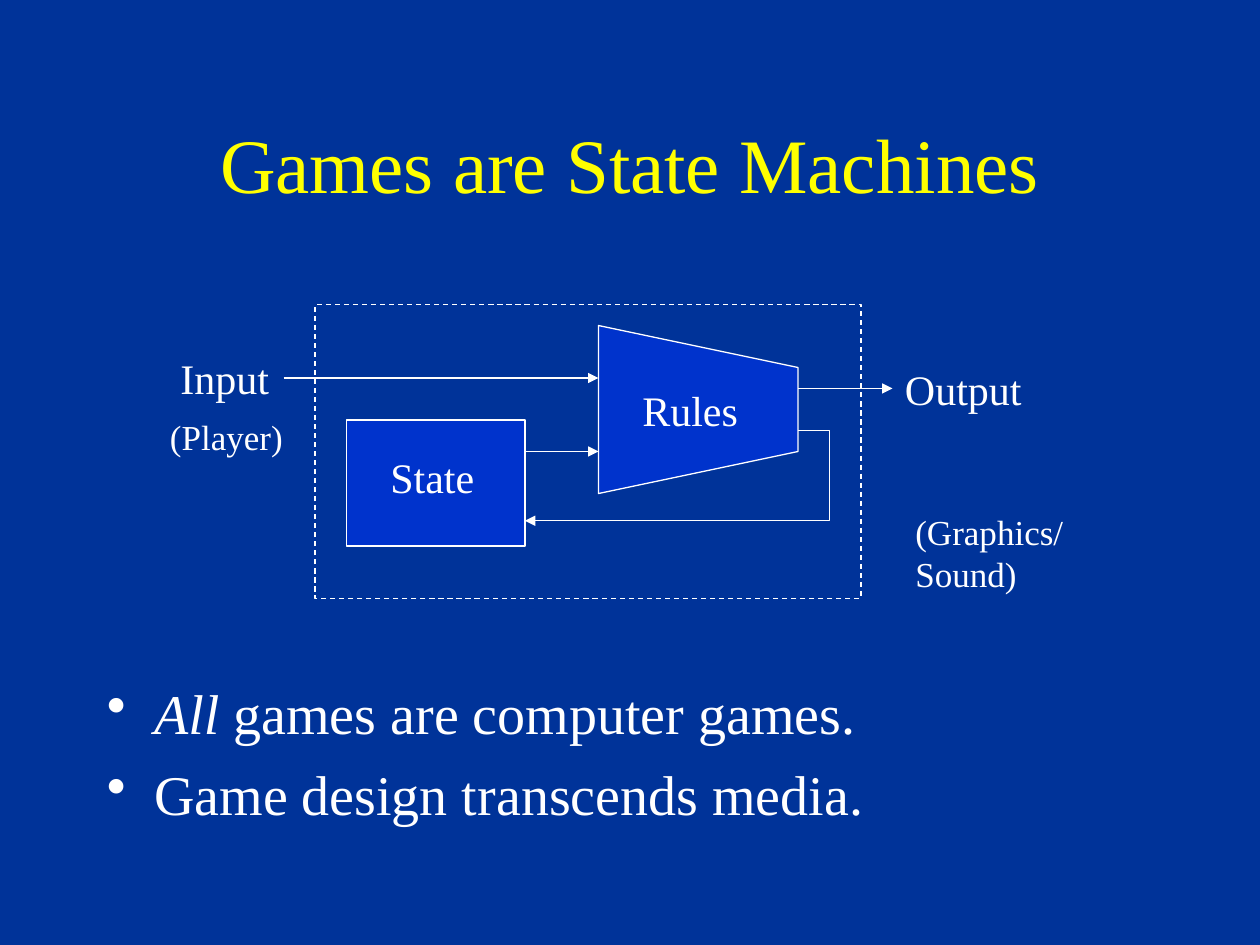
"""Build the slide that explains games as state machines."""
from lxml.etree import SubElement
from pptx import Presentation
from pptx.dml.color import RGBColor
from pptx.enum.dml import MSO_LINE
from pptx.enum.shapes import MSO_CONNECTOR, MSO_SHAPE
from pptx.enum.text import MSO_ANCHOR, PP_ALIGN
from pptx.oxml.ns import qn
from pptx.util import Pt

PX = 7620
NAVY = RGBColor(0x00, 0x33, 0x99)
BLUE = RGBColor(0x00, 0x33, 0xCC)
YELLOW = RGBColor(0xFF, 0xFF, 0x00)
WHITE = RGBColor(0xFF, 0xFF, 0xFF)


def style_text(paragraph, size, color):
    for run in paragraph.runs:
        run.font.name = "Times New Roman"
        run.font.size = Pt(size)
        run.font.color.rgb = color


def style_outline(part, fill=None):
    part.shadow.inherit = False
    if fill is None:
        part.fill.background()
    else:
        part.fill.solid()
        part.fill.fore_color.rgb = fill
    part.line.color.rgb = WHITE
    part.line.width = Pt(0.75)


prs = Presentation()
prs.slide_width, prs.slide_height = 1200 * PX, 900 * PX
slide = prs.slides.add_slide(prs.slide_layouts[5])
slide.background.fill.solid()
slide.background.fill.fore_color.rgb = NAVY
shapes = slide.shapes

title = shapes.title
title.left, title.top, title.width, title.height = 90 * PX, 80 * PX, 1020 * PX, 150 * PX
title.text_frame.text = "Games are State Machines"
title.text_frame.vertical_anchor = MSO_ANCHOR.MIDDLE
title.text_frame.paragraphs[0].alignment = PP_ALIGN.CENTER
style_text(title.text_frame.paragraphs[0], 44, YELLOW)

claims = shapes.add_textbox(90 * PX, 640 * PX, 1020 * PX, 160 * PX).text_frame
claims.word_wrap = True
first, second = claims.paragraphs[0], claims.add_paragraph()
for words in ("All ", "games are computer games."):
    first.add_run().text = words
second.text = "Game design transcends media."
second.space_before = Pt(8)
for claim in (first, second):
    properties = claim._p.get_or_add_pPr()
    properties.set("marL", str(45 * PX))
    properties.set("indent", str(-45 * PX))
    SubElement(properties, qn("a:buChar"), char="•")
    style_text(claim, 32, WHITE)
first.runs[0].font.italic = True

outline = shapes.build_freeform(570, 470, scale=PX)
outline.add_line_segments([(570, 310), (760, 350), (760, 430)], close=True)
style_outline(outline.convert_to_shape(), BLUE)

machine = shapes.add_shape(MSO_SHAPE.RECTANGLE, 300 * PX, 290 * PX, 520 * PX, 280 * PX)
style_outline(machine)
machine.line.dash_style = MSO_LINE.DASH

state = shapes.add_shape(MSO_SHAPE.RECTANGLE, 330 * PX, 400 * PX, 170 * PX, 120 * PX)
style_outline(state, BLUE)

arrows = [
    (MSO_CONNECTOR.STRAIGHT, 500, 430, 570, 430),
    (MSO_CONNECTOR.STRAIGHT, 270, 360, 570, 360),
    (MSO_CONNECTOR.STRAIGHT, 760, 370, 850, 370),
    (MSO_CONNECTOR.ELBOW, 760, 410, 500, 496),
]
for kind, *ends in arrows:
    arrow = shapes.add_connector(kind, *(end * PX for end in ends))
    arrow.line.color.rgb = WHITE
    arrow.line.width = Pt(0.75)
    geometry = arrow._element.spPr
    SubElement(geometry.find(qn("a:ln")), qn("a:tailEnd"), type="triangle")
    SubElement(geometry, qn("a:effectLst"))
    if kind == MSO_CONNECTOR.ELBOW:
        guides = geometry.find(qn("a:prstGeom")).get_or_add_avLst()
        SubElement(guides, qn("a:gd"), name="adj1", fmla="val -11500")

labels = [
    ("Rules", 24, 600, 360, 130, 60),
    ("Input", 24, 160, 330, 110, 60),
    ("Output", 24, 850, 340, 150, 60),
    ("State", 24, 360, 424, 110, 60),
    ("(Player)", 20, 150, 390, 140, 53),
    ("(Graphics/Sound)", 20, 860, 480, 180, 92),
]
for words, size, *place in labels:
    label = shapes.add_textbox(*(length * PX for length in place)).text_frame
    label.word_wrap = True
    label.text = words
    style_text(label.paragraphs[0], size, WHITE)

prs.save("out.pptx")
